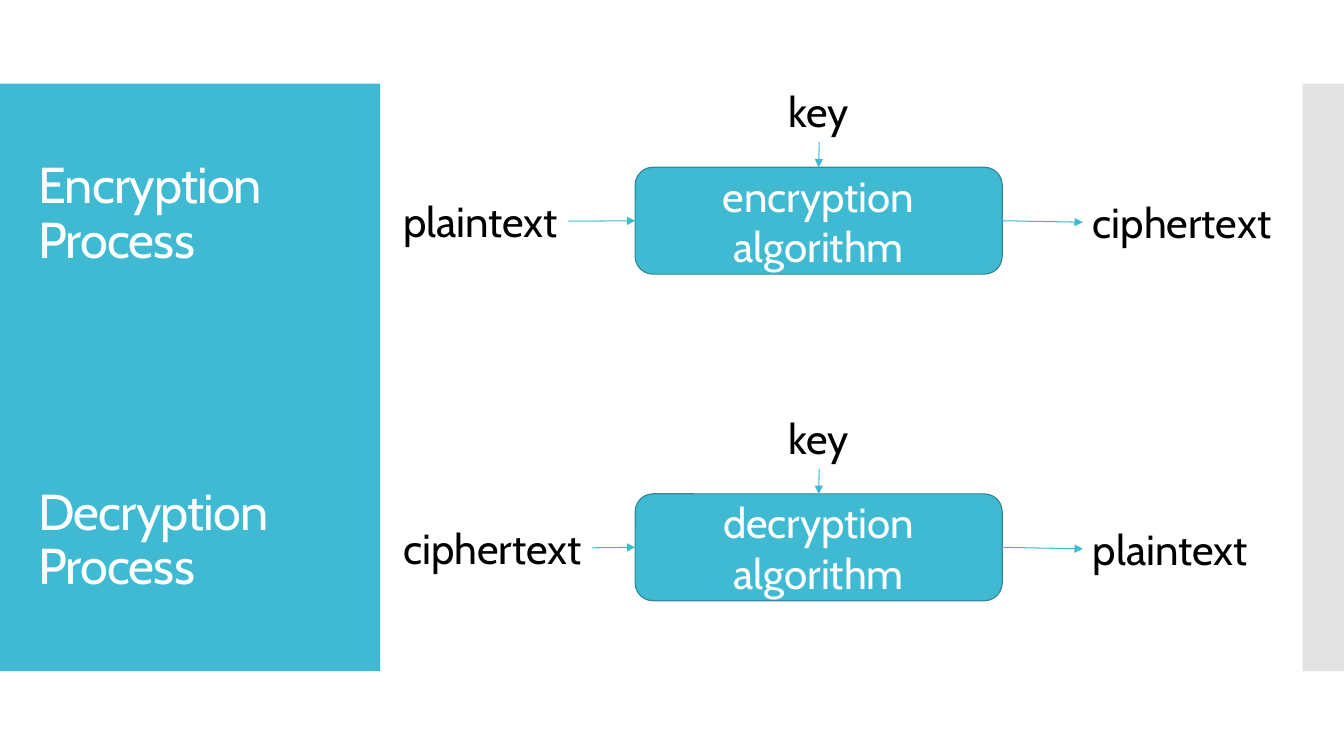
from lxml import etree
from pptx import Presentation
from pptx import util as u
from pptx.dml.color import RGBColor
from pptx.enum import shapes, text
from pptx.oxml.ns import qn

TEAL, EDGE, GREY = "40BAD2", "2F8A9B", "C8C8C8"
WHITE, BLACK = "FFFFFF", "000000"
STEP = 324


def px(n):
    """Turn px (100 to the inch) into EMU."""
    return u.Emu(n * 9144)


def rgb(code):
    return RGBColor.from_string(code)


class Deck:
    font = "Cabin"

    def __init__(self, wide, high):
        self.prs = Presentation()
        self.prs.slide_width, self.prs.slide_height = px(wide), px(high)
        self.slide = self.prs.slides.add_slide(self.prs.slide_layouts[6])

    def fill_in(self, shape, words, size, color, align=text.PP_ALIGN.LEFT):
        """Put one paragraph into a shape and return it."""
        para = shape.text_frame.paragraphs[0]
        para.text, para.alignment = words, align
        font = para.font
        font.name, font.size = self.font, u.Pt(size)
        font.color.rgb = rgb(color)
        return para

    def block(self, kind, x, y, w, h, fill, edge=None):
        shape = self.slide.shapes.add_shape(kind, px(x), px(y), px(w), px(h))
        shape.shadow.inherit = False
        shape.fill.solid()
        shape.fill.fore_color.rgb = rgb(fill)
        if edge:
            shape.line.color.rgb = rgb(edge)
            shape.line.width = u.Pt(0.85)
        else:
            shape.line.fill.background()
        return shape

    def panel(self, x, y, w, h, fill, alpha=100):
        shape = self.block(shapes.MSO_SHAPE.RECTANGLE, x, y, w, h, fill)
        if alpha < 100:
            tint = shape._element.spPr.find(qn("a:solidFill"))[0]
            etree.SubElement(tint, qn("a:alpha"), val=str(alpha * 1000))

    def step(self, words, x, y, w, h):
        """Draw a rounded box for one algorithm."""
        kind = shapes.MSO_SHAPE.ROUNDED_RECTANGLE
        shape = self.block(kind, x, y, w, h, TEAL, EDGE)
        shape.text_frame.word_wrap = True
        shape.text_frame.vertical_anchor = text.MSO_ANCHOR.MIDDLE
        self.fill_in(shape, words, 30, WHITE, text.PP_ALIGN.CENTER)
        return shape

    def label(self, words, x, y, w, h=61):
        shape = self.slide.shapes.add_textbox(px(x), px(y), px(w), px(h))
        shape.text_frame.word_wrap = False
        shape.text_frame.auto_size = text.MSO_AUTO_SIZE.SHAPE_TO_FIT_TEXT
        self.fill_in(shape, words, 30, BLACK)
        return shape

    def title(self, words, x, y, w, h):
        shape = self.slide.shapes.add_textbox(px(x), px(y), px(w), px(h))
        shape.text_frame.word_wrap = True
        shape.text_frame.vertical_anchor = text.MSO_ANCHOR.MIDDLE
        para = self.fill_in(shape, words, 36, WHITE)
        para.line_spacing = 0.9
        para._p.pPr.find(qn("a:defRPr")).set("spc", "-60")

    def arrow(self, start, out, end, into):
        """Join side `out` of start to side `into` of end."""
        kind = shapes.MSO_CONNECTOR.STRAIGHT
        link = self.slide.shapes.add_connector(kind, 0, 0, 0, 0)
        link.begin_connect(start, out)
        link.end_connect(end, into)
        link.line.color.rgb = rgb(TEAL)
        link.line.width = u.Pt(0.75)
        props = link._element.spPr
        etree.SubElement(props.find(qn("a:ln")), qn("a:tailEnd"),
                         type="triangle")
        etree.SubElement(props, qn("a:effectLst"))


def main():
    top, left, bottom, right = range(4)
    width = {"plaintext": 174, "ciphertext": 197}
    rows = [("Encryption", "plaintext", "ciphertext"),
            ("Decryption", "ciphertext", "plaintext")]

    deck = Deck(1333, 750)
    deck.panel(0, 83, 377, 583, TEAL)
    deck.panel(1292, 83, 41, 583, GREY, alpha=50)
    for i, (name, given, made) in enumerate(rows):
        y = i * STEP
        deck.title(f"{name} Process", 28, y + 150, 322, 126)
        box = deck.step(f"{name.lower()} algorithm", 630, y + 166, 364, 106)
        source = deck.label(given, 390, y + 189, width[given])
        key = deck.label("key", 772, y + 80, 81)
        result = deck.label(made, 1074, y + 190, width[made])
        deck.arrow(key, bottom, box, top)
        deck.arrow(source, right, box, left)
        deck.arrow(box, right, result, left)
    deck.prs.save("out.pptx")


if __name__ == "__main__":
    main()
